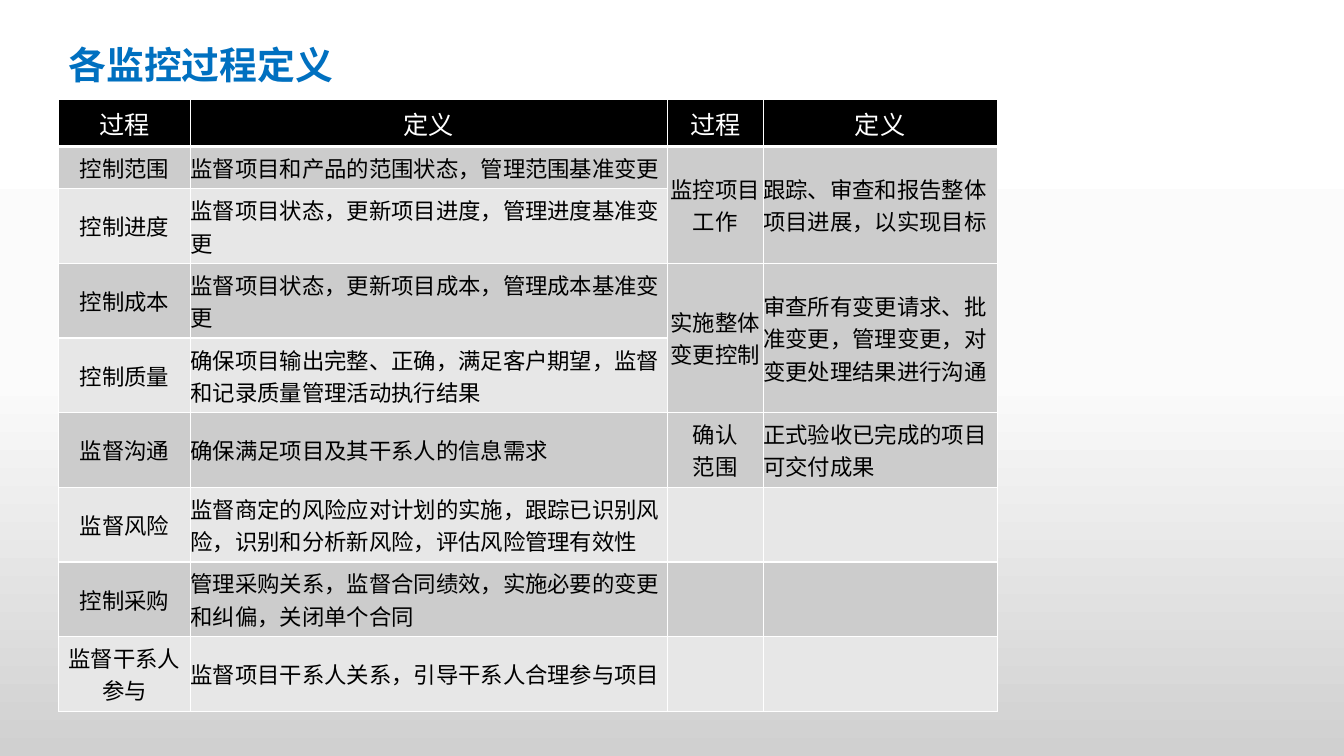
from copy import deepcopy

from lxml import etree
from pptx import Presentation
from pptx.dml.color import RGBColor
from pptx.enum.text import MSO_ANCHOR, MSO_AUTO_SIZE, PP_ALIGN
from pptx.oxml.ns import qn
from pptx.util import Inches, Pt

WHITE = RGBColor(0xFF, 0xFF, 0xFF)
BLACK = RGBColor(0x00, 0x00, 0x00)
BLUE = RGBColor(0x00, 0x70, 0xC0)
DARK_BAND = RGBColor(0xCC, 0xCC, 0xCC)
LIGHT_BAND = RGBColor(0xE7, 0xE7, 0xE7)
BACKGROUND_STOPS = [
    (0, WHITE),
    (0.5, RGBColor(0xFB, 0xFB, 0xFB)),
    (1, RGBColor(0xD0, 0xD0, 0xD0)),
]

COLUMN_WIDTHS = [1.31, 4.73, 0.95, 2.32]
ROW_HEIGHTS = [0.39, 0.36] + [0.62] * 7
ROWS = [
    ("过程", "定义", "过程", "定义"),
    ("控制范围", "监督项目和产品的范围状态，管理范围基准变更",
     "监控项目工作", "跟踪、审查和报告整体项目进展，以实现目标"),
    ("控制进度", "监督项目状态，更新项目进度，管理进度基准变更", "", ""),
    ("控制成本", "监督项目状态，更新项目成本，管理成本基准变更",
     "实施整体变更控制", "审查所有变更请求、批准变更，管理变更，对变更处理结果进行沟通"),
    ("控制质量", "确保项目输出完整、正确，满足客户期望，监督和记录质量管理活动执行结果", "", ""),
    ("监督沟通", "确保满足项目及其干系人的信息需求",
     "确认\n范围", "正式验收已完成的项目可交付成果"),
    ("监督风险", "监督商定的风险应对计划的实施，跟踪已识别风险，识别和分析新风险，评估风险管理有效性", "", ""),
    ("控制采购", "管理采购关系，监督合同绩效，实施必要的变更和纠偏，关闭单个合同", "", ""),
    ("监督干系人参与", "监督项目干系人关系，引导干系人合理参与项目", "", ""),
]
MERGED_ROW_STARTS = [1, 3]


def set_borders(cell, bottom_width):
    """Give the cell white borders, one point wide except at the bottom."""
    properties = cell._tc.get_or_add_tcPr()
    widths = {"a:lnL": 1, "a:lnR": 1, "a:lnT": 1, "a:lnB": bottom_width}
    for tag, width in widths.items():
        line = etree.SubElement(properties, qn(tag), w=str(Pt(width)))
        fill = etree.SubElement(line, qn("a:solidFill"))
        etree.SubElement(fill, qn("a:srgbClr"), val=str(WHITE))


presentation = Presentation()
presentation.slide_width = Inches(13.33)
presentation.slide_height = Inches(7.5)
slide = presentation.slides.add_slide(presentation.slide_layouts[5])

# Background gradient
background = slide.background.fill
background.gradient()
background.gradient_angle = 270
stop_list = background._fill._gradFill.find(qn("a:gsLst"))
stop_list.insert(1, deepcopy(stop_list[0]))
for stop, (position, color) in zip(background.gradient_stops, BACKGROUND_STOPS):
    stop.position = position
    stop.color.rgb = color

# Title
title = slide.shapes.title
title.left, title.top = Inches(0.58), Inches(-0.06)
title.width, title.height = Inches(11.5), Inches(1.45)
title.text_frame.text = "各监控过程定义"
title.text_frame.auto_size = MSO_AUTO_SIZE.NONE
title.text_frame.vertical_anchor = MSO_ANCHOR.MIDDLE
heading = title.text_frame.paragraphs[0]
heading.alignment = PP_ALIGN.LEFT
heading.line_spacing = 0.9
heading.font.name = "TeX Gyre Schola"
heading.font.size = Pt(27)
heading.font.bold = True
heading.font.color.rgb = BLUE

# Process table
table = slide.shapes.add_table(
    len(ROWS), len(COLUMN_WIDTHS),
    Inches(0.58), Inches(0.99), Inches(9.3), Inches(5.2),
).table
table.first_row = False
table.horz_banding = False
for column, width in zip(table.columns, COLUMN_WIDTHS):
    column.width = Inches(width)
for row, height in zip(table.rows, ROW_HEIGHTS):
    row.height = Inches(height)

for row_index, texts in enumerate(ROWS):
    is_header = row_index == 0
    band = DARK_BAND if row_index % 2 else LIGHT_BAND
    for column_index, text in enumerate(texts):
        cell = table.cell(row_index, column_index)
        set_borders(cell, 3 if is_header else 1)
        cell.fill.solid()
        cell.fill.fore_color.rgb = BLACK if is_header else band
        if not text:
            continue
        cell.text = text
        cell.vertical_anchor = MSO_ANCHOR.MIDDLE
        cell.margin_left = cell.margin_right = 0
        cell.margin_top = cell.margin_bottom = Inches(0.05)
        is_process = column_index % 2 == 0
        for paragraph in cell.text_frame.paragraphs:
            centered = is_header or is_process
            paragraph.alignment = PP_ALIGN.CENTER if centered else PP_ALIGN.LEFT
            paragraph.font.name = "Cabin"
            paragraph.font.size = Pt(18 if is_header else 16)
            paragraph.font.color.rgb = WHITE if is_header else BLACK

last_definition = table.cell(len(ROWS) - 1, 1)
last_definition.margin_top = last_definition.margin_bottom = 0

for start in MERGED_ROW_STARTS:
    for column_index in (2, 3):
        table.cell(start, column_index).merge(table.cell(start + 1, column_index))

presentation.save("out.pptx")
